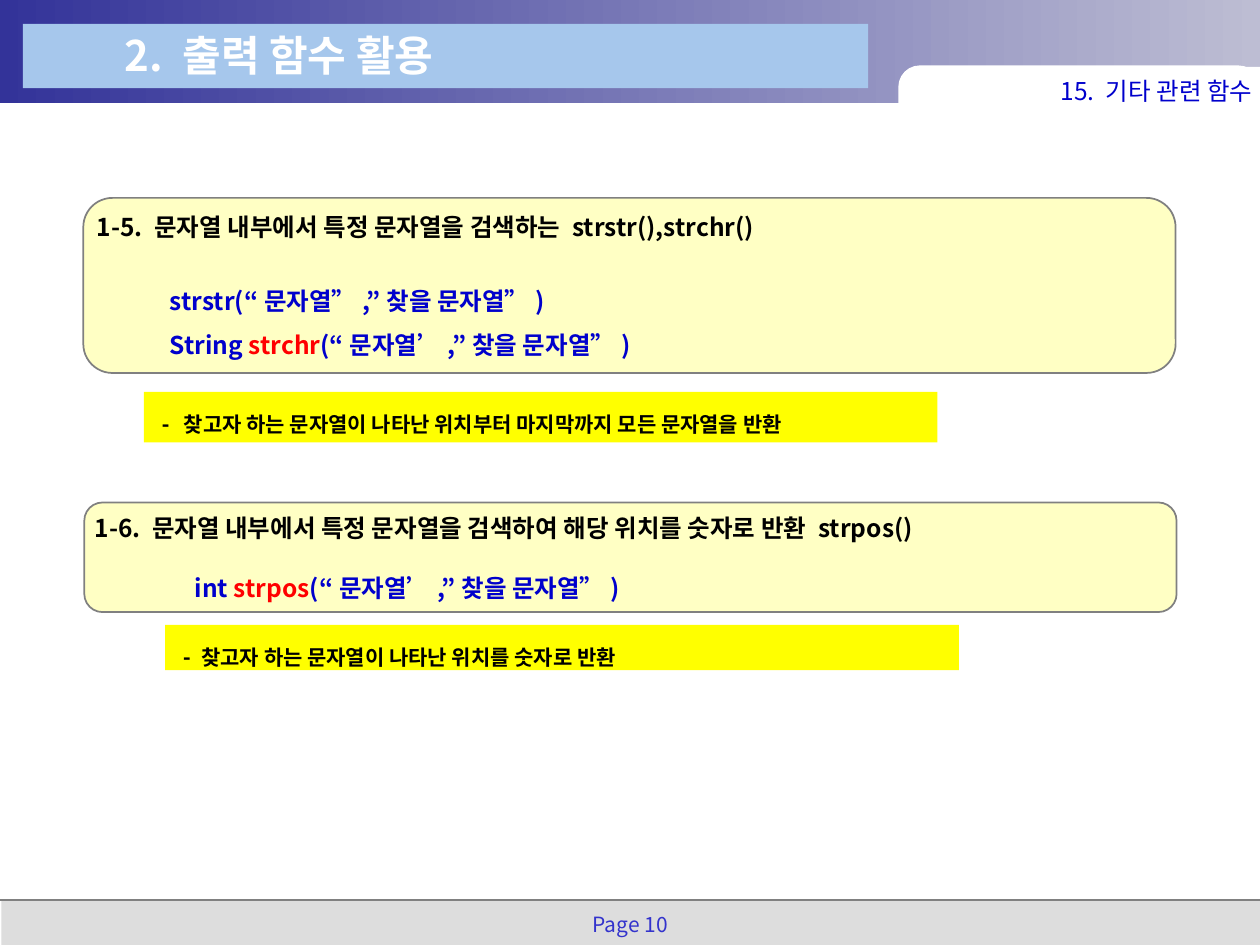
from lxml.etree import SubElement
from pptx import Presentation
from pptx.dml.color import RGBColor
from pptx.enum.shapes import MSO_CONNECTOR, MSO_SHAPE
from pptx.enum.text import MSO_ANCHOR, PP_ALIGN
from pptx.oxml.ns import qn
from pptx.util import Cm, Pt

NAVY = RGBColor(0x33, 0x33, 0x99)
LAVENDER = RGBColor(0xBD, 0xBD, 0xD3)
SKY = RGBColor(0xA6, 0xC7, 0xEC)
WHITE = RGBColor(0xFF, 0xFF, 0xFF)
BLACK = RGBColor(0, 0, 0)
LIGHT_GRAY = RGBColor(0xDD, 0xDD, 0xDD)
GRAY = RGBColor(0x80, 0x80, 0x80)
YELLOW = RGBColor(0xFF, 0xFF, 0)
BLUE = RGBColor(0, 0, 0xCC)
PAGE_BLUE = RGBColor(0x33, 0x33, 0xCC)
RED = RGBColor(0xFF, 0, 0)
KOREAN = "Noto Sans CJK KR"

presentation = Presentation()
presentation.slide_width, presentation.slide_height = Cm(25.4), Cm(19.05)
slide = presentation.slides.add_slide(presentation.slide_layouts[6])


def add_box(kind, position, color, outline=None):
    shape = slide.shapes.add_shape(kind, *[Cm(value) for value in position])
    shape.shadow.inherit = False
    shape.fill.solid()
    shape.fill.fore_color.rgb = color
    if outline is None:
        shape.line.fill.background()
    else:
        shape.line.color.rgb = outline
        shape.line.width = Pt(1)
    return shape


def write(paragraph, runs, size=14, font=KOREAN, bold=True, align=PP_ALIGN.LEFT,
          line=17, before=0, margin=0, hanging=0):
    """Fill a paragraph with (text, color) runs; margin and hanging are in cm."""
    properties = paragraph._p.get_or_add_pPr()
    properties.set("marL", str(Cm(margin)))
    properties.set("indent", str(Cm(-hanging)))
    paragraph.alignment = align
    paragraph.line_spacing = Pt(line)
    if before:
        paragraph.space_before = Pt(before)
    for text, color in runs:
        run = paragraph.add_run()
        run.text = text
        run.font.size = Pt(size)
        run.font.name = font
        run.font.bold = bold
        run.font.color.rgb = color
        SubElement(run._r.get_or_add_rPr(), qn("a:ea"), typeface=KOREAN)


# Footer band and rule
add_box(MSO_SHAPE.RECTANGLE, (0.03, 18.14, 25.37, 0.91), LIGHT_GRAY)
header = add_box(MSO_SHAPE.RECTANGLE, (0, 0, 25.4, 2.08), NAVY)
header.fill.gradient()
header.fill.gradient_angle = 0
for stop, color in zip(header.fill.gradient_stops, (NAVY, LAVENDER)):
    stop.color.rgb = color
rule = slide.shapes.add_connector(MSO_CONNECTOR.STRAIGHT, 0, Cm(18.14), Cm(25.4), Cm(18.14))
rule.line.color.rgb = GRAY
rule.line.width = Pt(1)
SubElement(rule._element.spPr, qn("a:effectLst"))

# Chapter tab and title bar
chapter_tab = add_box(MSO_SHAPE.ROUNDED_RECTANGLE, (18.11, 1.32, 7.29, 1.5), WHITE)
chapter_tab.adjustments[0] = 0.29
add_box(MSO_SHAPE.RECTANGLE, (23.11, 1.35, 2.29, 0.61), WHITE)
add_box(MSO_SHAPE.RECTANGLE, (0.46, 0.48, 17.04, 1.3), SKY)

# Function cards: position, paragraphs as (runs, format)
cards = [
    ((1.68, 3.99, 22.02, 3.53), [
        ([("1-5. 문자열 내부에서 특정 문자열을 검색하는 strstr(),strchr()", BLACK)], {}),
        ([("strstr(“문자열”,”찾을 문자열”)", BLUE)],
         dict(line=25, before=17, margin=1.47)),
        ([("String ", BLUE), ("strchr", RED), ("(“문자열’,”찾을 문자열”)", BLUE)],
         dict(line=25, margin=1.47)),
    ]),
    ((1.7, 10.13, 22.02, 2.21), [
        ([("1-6. 문자열 내부에서 특정 문자열을 검색하여 해당 위치를 숫자로 반환 strpos()", BLACK)], {}),
        ([("int ", BLUE), ("strpos", RED), ("(“문자열’,”찾을 문자열”)", BLUE)],
         dict(before=17, margin=2.02)),
    ]),
]
for position, paragraphs in cards:
    card = add_box(MSO_SHAPE.ROUNDED_RECTANGLE, position, YELLOW, outline=GRAY)
    fill_color = card.fill._xPr.find(qn("a:solidFill"))[0]
    SubElement(fill_color, qn("a:alpha"), val="23000")
    frame = card.text_frame
    frame.vertical_anchor = MSO_ANCHOR.MIDDLE
    frame.margin_left = frame.margin_right = Cm(0.1)
    frame.margin_top = frame.margin_bottom = Cm(0.1)
    for index, (runs, style) in enumerate(paragraphs):
        paragraph = frame.add_paragraph() if index else frame.paragraphs[0]
        write(paragraph, runs, **style)

# Yellow notes under the cards
notes = [
    ((2.9, 7.9, 16, 1.02), "-\t찾고자 하는 문자열이 나타난 위치부터 마지막까지 모든 문자열을 반환", 0.45),
    ((3.33, 12.6, 16, 0.91), "- 찾고자 하는 문자열이 나타난 위치를 숫자로 반환", 0),
]
for position, text, hanging in notes:
    note = add_box(MSO_SHAPE.RECTANGLE, position, YELLOW)
    note.text_frame.vertical_anchor = MSO_ANCHOR.TOP
    write(note.text_frame.paragraphs[0], [(text, BLACK)], size=12, font="Roboto",
          line=22, margin=0.11 + hanging, hanging=hanging)

# Page number, chapter name and title
labels = [
    ((11.56, 18.29, 2.29, 0.71), "Page 10", PAGE_BLUE, MSO_ANCHOR.TOP, (0.25, 0.13),
     dict(size=12, bold=False, align=PP_ALIGN.CENTER, line=13)),
    ((18.49, 1.42, 6.86, 0.81), "15. 기타 관련 함수", BLUE, MSO_ANCHOR.MIDDLE, (0.1, 0.1),
     dict(bold=False, align=PP_ALIGN.RIGHT)),
    ((2.26, 0.46, 12.62, 1.27), "2. 출력 함수 활용", WHITE, MSO_ANCHOR.TOP, (0.25, 0.13),
     dict(size=24, line=29)),
]
for position, text, color, anchor, (side, top), style in labels:
    frame = slide.shapes.add_textbox(*[Cm(value) for value in position]).text_frame
    frame.word_wrap = True
    frame.vertical_anchor = anchor
    frame.margin_left = frame.margin_right = Cm(side)
    frame.margin_top = frame.margin_bottom = Cm(top)
    write(frame.paragraphs[0], [(text, color)], **style)

presentation.save("out.pptx")
